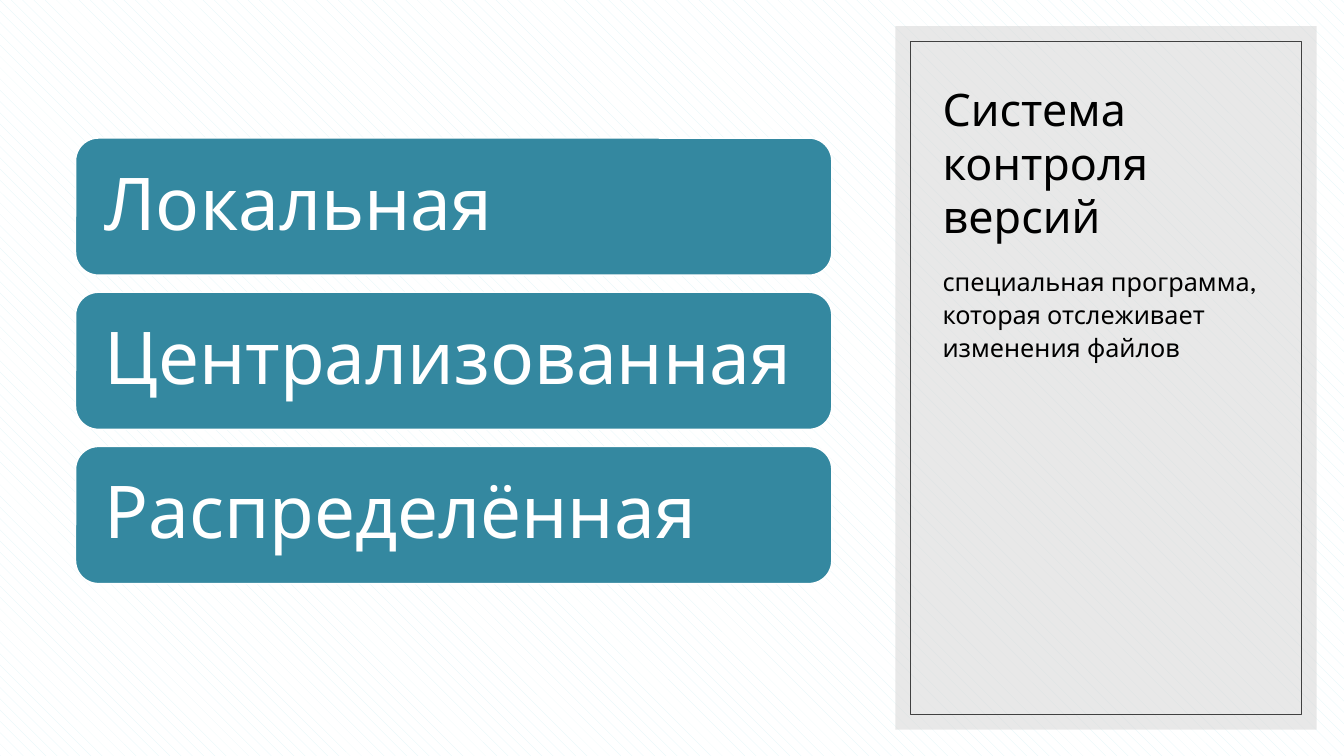
from pptx import Presentation
from pptx.dml.color import RGBColor
from pptx.enum.dml import MSO_PATTERN
from pptx.enum.shapes import MSO_SHAPE
from pptx.enum.text import MSO_ANCHOR, PP_ALIGN
from pptx.util import Inches, Pt
from lxml.etree import SubElement
from pptx.oxml.ns import qn

FONT = "League Spartan"
SYSTEM_KINDS = ["Локальная", "Централизованная", "Распределённая"]


def color(hex_code):
    return RGBColor.from_string(hex_code)


def write(shape, text, size, ink="000000", anchor=MSO_ANCHOR.TOP,
          inset=(0.1, 0.05), line_spacing=1.0, before=0):
    frame = shape.text_frame
    frame.word_wrap = True
    frame.vertical_anchor = anchor
    frame.margin_left = frame.margin_right = Inches(inset[0])
    frame.margin_top = frame.margin_bottom = Inches(inset[1])
    paragraph = frame.paragraphs[0]
    paragraph.alignment = PP_ALIGN.LEFT
    paragraph.line_spacing = line_spacing
    paragraph.space_before = Pt(before)
    run = paragraph.add_run()
    run.text = text
    run.font.size = Pt(size)
    run.font.name = FONT
    run.font.color.rgb = color(ink)


def add_panel(slide, kind, box, fill=None, opacity=100, outline=None, weight=1):
    panel = slide.shapes.add_shape(kind, *map(Inches, box))
    panel.shadow.inherit = False
    if fill:
        panel.fill.solid()
        panel.fill.fore_color.rgb = color(fill)
        if opacity < 100:
            tint = panel.fill._xPr.find(qn("a:solidFill"))[0]
            SubElement(tint, qn("a:alpha"), val=str(opacity * 1000))
    else:
        panel.fill.background()
    if outline:
        panel.line.color.rgb = color(outline)
        panel.line.width = Pt(weight)
    else:
        panel.line.fill.background()
    return panel


def paint_background(slide):
    fill = slide.background.fill
    fill.patterned()
    fill.pattern = MSO_PATTERN.SHINGLE
    fill.fore_color.rgb = color("DEF4F7")
    fill.back_color.rgb = color("FFFFFF")


def add_kinds(slide, left, top, width, height):
    """Stack of equal rounded bars, with gaps of an eighth of a bar."""
    count = len(SYSTEM_KINDS)
    bar_height = height / (count + (count - 1) / 8)
    for row, kind in enumerate(SYSTEM_KINDS):
        bar_top = top + row * bar_height * 9 / 8
        bar = add_panel(slide, MSO_SHAPE.ROUNDED_RECTANGLE,
                        (left, bar_top, width, bar_height),
                        fill="3488A0", outline="FFFFFF")
        write(bar, kind, 52, ink="FFFFFF", anchor=MSO_ANCHOR.MIDDLE,
              inset=(0.22, 0.22), line_spacing=0.9)


def add_definition(slide, left, top, width, height):
    """Framed side panel with the term above its explanation."""
    add_panel(slide, MSO_SHAPE.RECTANGLE, (left, top, width, height),
              fill="D9D9D9", opacity=60)
    rim = 0.15
    add_panel(slide, MSO_SHAPE.RECTANGLE,
              (left + rim, top + rim, width - 2 * rim, height - 2 * rim),
              outline="404040", weight=0.5)

    text_left, text_width = left + 0.37, width - 0.72
    term = slide.shapes.add_textbox(
        *map(Inches, (text_left, top + 0.4, text_width, 1.8)))
    write(term, "Система контроля версий", 32, anchor=MSO_ANCHOR.BOTTOM)
    meaning = slide.shapes.add_textbox(
        *map(Inches, (text_left, top + 2.3, text_width, 3.94)))
    write(meaning, "специальная программа, которая отслеживает изменения файлов",
          18, line_spacing=1.1, before=8)


def main():
    deck = Presentation()
    deck.slide_width, deck.slide_height = Inches(13.33), Inches(7.5)
    slide = deck.slides.add_slide(deck.slide_layouts[6])
    paint_background(slide)
    add_definition(slide, 8.88, 0.26, 4.18, 6.98)
    add_kinds(slide, 0.75, 1.37, 7.5, 4.42)
    deck.save("out.pptx")


if __name__ == "__main__":
    main()
